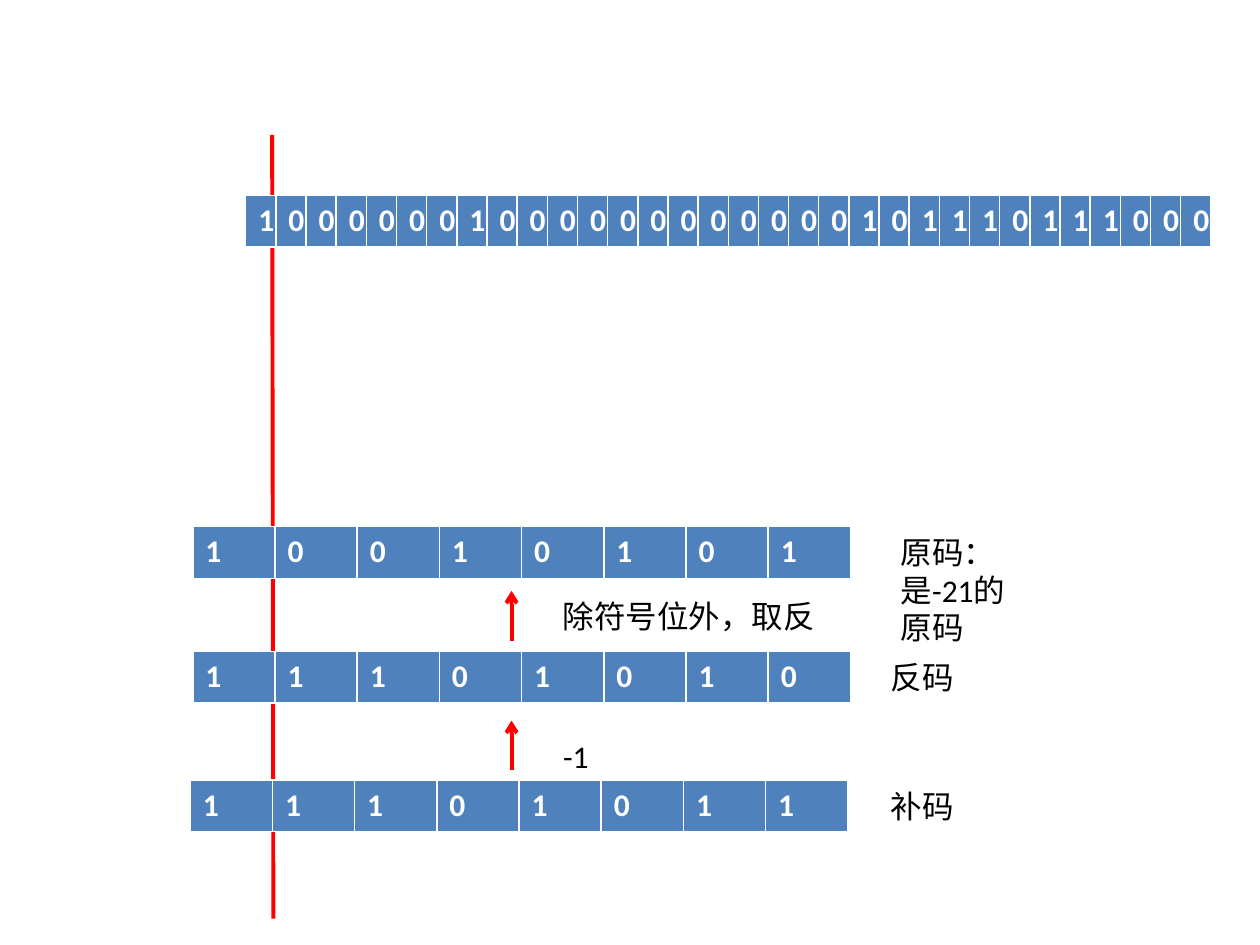
from lxml import etree
from pptx import Presentation
from pptx.dml.color import RGBColor
from pptx.enum import shapes, text
from pptx.oxml import ns
from pptx.util import Inches, Pt

FONT, RED, BLUE, WHITE, BLACK = "Calibri", "FF0000", "4F81BD", "FFFFFF", "000000"


def paint(color, value):
    color.rgb = RGBColor.from_string(value)


def style(par, value, bold=False):
    par.font.name = FONT
    par.font.size = Pt(18)
    par.font.bold = bold
    paint(par.font.color, value)


prs = Presentation()
prs.slide_width, prs.slide_height = Inches(10), Inches(7.5)
slide = prs.slides.add_slide(prs.slide_layouts[6])

# Sign-bit divider behind the tables, then the upward step arrows
lines = [
    (2.16, 1.07, 2.17, 7.29, False),
    (4.06, 6.11, 4.06, 5.72, True),
    (4.06, 5.09, 4.06, 4.69, True),
]
for x1, y1, x2, y2, arrow in lines:
    line = slide.shapes.add_connector(
        shapes.MSO_CONNECTOR.STRAIGHT, Inches(x1), Inches(y1), Inches(x2), Inches(y2))
    paint(line.line.color, RED)
    line.line.width = Pt(2.25)
    if arrow:
        etree.SubElement(line.line._get_or_add_ln(), ns.qn("a:tailEnd"), type="arrow")
    etree.SubElement(line._element.spPr, ns.qn("a:effectLst"))

# Bit rows: one cell per bit, equal widths
rows = [
    ("11101011", 1.51, 6.19, 5.22),
    ("11101010", 1.53, 5.17, 5.22),
    ("10010101", 1.53, 4.18, 5.22),
    ("10000001000000000000101110111000", 1.95, 1.55, 7.55),
]
for bits, x, y, width in rows:
    grid = slide.shapes.add_table(
        1, len(bits), Inches(x), Inches(y), Inches(width), Inches(0.41)).table
    for cell, bit in zip(grid.rows[0].cells, bits):
        cell.text = bit
        cell.fill.solid()
        paint(cell.fill.fore_color, BLUE)
        style(cell.text_frame.paragraphs[0], WHITE, bold=True)

# Row names and step notes
notes = [
    ("补码", 6.97, 6.2, 1.97, 0.4),
    ("反码", 6.97, 5.17, 1.97, 0.4),
    ("原码：是-21的原码", 7.05, 4.18, 1.26, 1),
    ("-1", 4.37, 5.8, 1.18, 0.4),
    ("除符号位外，取反", 4.37, 4.69, 2.44, 0.4),
]
for words, *place in notes:
    frame = slide.shapes.add_textbox(*map(Inches, place)).text_frame
    frame.word_wrap = True
    frame.auto_size = text.MSO_AUTO_SIZE.SHAPE_TO_FIT_TEXT
    frame.text = words
    style(frame.paragraphs[0], BLACK)

prs.save("out.pptx")
